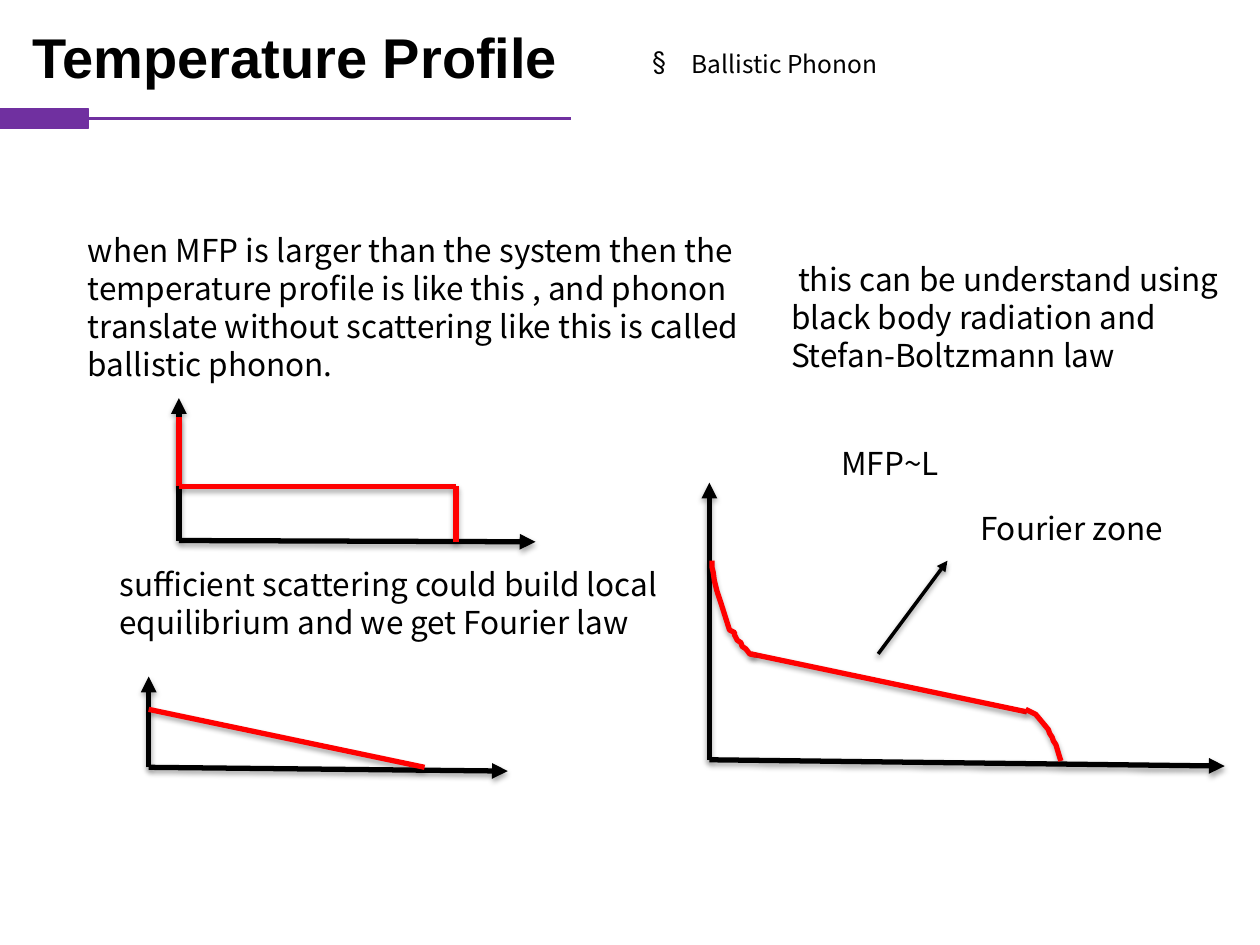
from enum import Enum
from lxml.etree import SubElement
from pptx import Presentation
from pptx.dml.color import RGBColor
from pptx.enum.shapes import MSO_CONNECTOR, MSO_SHAPE
from pptx.oxml.ns import qn
from pptx.util import Pt

PX = 9144  # 100 px to the inch


class Theme(Enum):
    INK = RGBColor(0, 0, 0)
    RED = RGBColor(255, 0, 0)
    BAR = RGBColor(0x70, 0x30, 0xA0)
    BODY = "Noto Sans CJK SC"
    HEAD = "Arial"
    BIG = 32
    MID = 18
    SMALL = 14


def pen(shape, color, width, arrow=False, shade=35):
    """Style a stroke: colour, width, arrowhead and soft shadow."""
    shape.line.color.rgb = color.value
    shape.line.width = Pt(width)
    if arrow:
        SubElement(shape.line._get_or_add_ln(), qn("a:tailEnd"), type="triangle")
    props = shape._element.spPr
    effect = SubElement(props, qn("a:effectLst"))
    if shade:
        drop = SubElement(effect, qn("a:outerShdw"), blurRad="40000",
                          dist="23000", dir="5400000", rotWithShape="0")
        tint = SubElement(drop, qn("a:srgbClr"), val="000000")
        SubElement(tint, qn("a:alpha"), val=str(shade * 1000))


def write(text, box, size=Theme.MID, face=Theme.BODY, wrap=True, lead=21.7):
    """Add a text box and return its paragraph."""
    frame = slide.shapes.add_textbox(*[n * PX for n in box]).text_frame
    frame.word_wrap = wrap
    para = frame.paragraphs[0]
    para.text = text
    if lead:
        para.line_spacing = Pt(lead)
    para.font.size = Pt(size.value)
    para.font.name = face.value
    para.font.color.rgb = Theme.INK.value
    return para


deck = Presentation()
deck.slide_width, deck.slide_height = 1000 * PX, 750 * PX
slide = deck.slides.add_slide(deck.slide_layouts[6])

# Bulleted topic
topic = write("Ballistic Phonon", (508, 34, 201, 34), Theme.SMALL, wrap=False, lead=17)
props = topic._p.get_or_add_pPr()
props.set("marL", str(31 * PX))
props.set("indent", str(-31 * PX))
mark = SubElement(props, qn("a:buChar"), char="§")
props.remove(mark)
props.insert_element_before(mark, "a:tabLst", "a:defRPr", "a:extLst")

# Explanations
for text, box in [
    ("when MFP is larger than the system then the temperature profile is like this , "
     "and phonon translate without scattering like this is called ballistic phonon.",
     (60, 178, 554, 131)),
    ("sufficient scattering could build local equilibrium and we get Fourier law",
     (85, 443, 454, 101)),
    (" this can be understand using black body radiation and Stefan-Boltzmann law",
     (618, 201, 394, 101)),
    ("Fourier zone", (768, 399, 181, 40)),
    ("MFP~L", (658, 347, 106, 40)),
]:
    write(text, box)

# Axes and profiles: origin, top of y, end of x, then the red points
plots = [
    ((142, 429), 316, (425, 430), [(142, 331), (142, 386), (362, 386), (362, 430)]),
    ((118, 609), 537, (403, 612), [(118, 563), (337, 609)]),
    ((563, 603), 383, (972, 608), [(596, 519), (815, 565)]),
]
for start, top, end, curve in plots:
    strokes = [(start, (start[0], top), Theme.INK), (start, end, Theme.INK)]
    strokes += [(a, b, Theme.RED) for a, b in zip(curve, curve[1:])]
    for a, b, color in strokes:
        line = slide.shapes.add_connector(
            MSO_CONNECTOR.STRAIGHT, *[n * PX for n in a + b])
        pen(line, color, 3, color is Theme.INK)

# Bent ends of the mixed profile
for first, *rest in [
    [(600, 520), (595, 519), (592, 515), (589, 513), (588, 510), (585, 508),
     (583, 504), (583, 502), (579, 500), (572, 478), (569, 469), (567, 461),
     (566, 454), (565, 450), (565, 445)],
    [(814, 563), (822, 567), (827, 573), (832, 579), (833, 582), (835, 585),
     (836, 588), (838, 591), (841, 601), (842, 604)],
]:
    path = slide.shapes.build_freeform(*first, scale=PX)
    path.add_line_segments(rest, close=False)
    bend = path.convert_to_shape()
    bend.fill.background()
    pen(bend, Theme.RED, 3)

# Pointer to the Fourier zone
hint = slide.shapes.add_connector(
    MSO_CONNECTOR.STRAIGHT, 697 * PX, 519 * PX, 752 * PX, 445 * PX)
pen(hint, Theme.INK, 2, True, 38)

# Title with its rule and block
rule = slide.shapes.add_connector(
    MSO_CONNECTOR.STRAIGHT, 453 * PX, 94 * PX, 70 * PX, 94 * PX)
pen(rule, Theme.BAR, 1.5, shade=0)
block = slide.shapes.add_shape(MSO_SHAPE.RECTANGLE, 0, 86 * PX, 70 * PX, 16 * PX)
block.fill.solid()
block.fill.fore_color.rgb = Theme.BAR.value
pen(block, Theme.BAR, 0.75, shade=0)
title = write("Temperature Profile", (16, 13, 440, 64), Theme.BIG, Theme.HEAD, False, None)
title.font.bold = True

deck.save("out.pptx")
